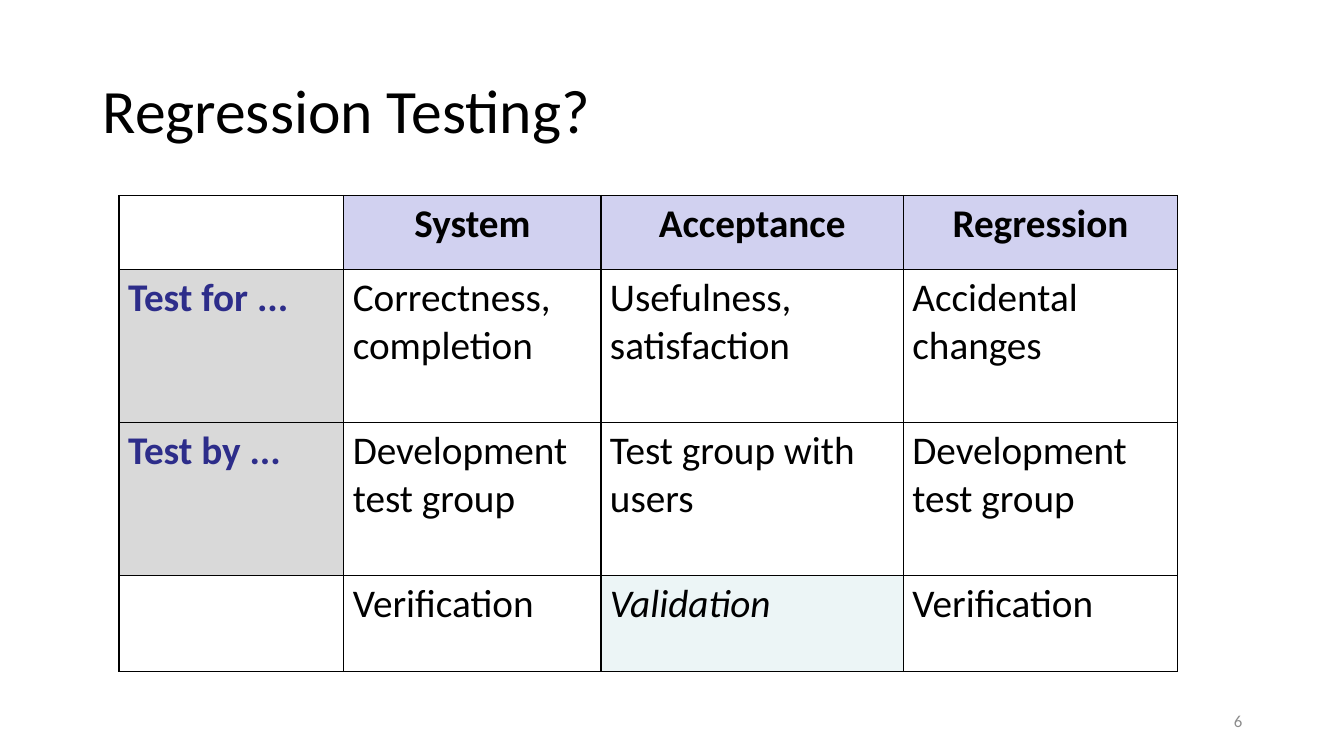
"""Build the regression testing comparison slide."""
from lxml.etree import SubElement
from pptx import Presentation
from pptx.dml.color import RGBColor
from pptx.enum.text import MSO_ANCHOR as Anchor, PP_ALIGN as Align
from pptx.oxml.ns import qn
from pptx.util import Inches, Pt

BLACK = RGBColor(0x00, 0x00, 0x00)
NAVY = RGBColor(0x2D, 0x2D, 0x8A)
GRAY = RGBColor(0x8C, 0x8C, 0x8C)
LAVENDER = RGBColor(0xD1, 0xD1, 0xF0)
SILVER = RGBColor(0xD9, 0xD9, 0xD9)
MINT = RGBColor(0xDA, 0xED, 0xEF)

COLUMN_WIDTHS = [2.23, 2.55, 3, 2.72]
ROW_HEIGHTS = [0.73, 1.52, 1.52, 0.95]
COMPARISON = [
    ["", "System", "Acceptance", "Regression"],
    ["Test for ...", "Correctness, completion", "Usefulness, satisfaction", "Accidental changes"],
    ["Test by ...", "Development test group", "Test group with users", "Development test group"],
    ["", "Verification", "Validation", "Verification"],
]


def write_text(frame, text, *, font="Calibri", size=28, color=BLACK, bold=False,
               italic=False, align=Align.LEFT, spacing=1.0):
    paragraph = frame.paragraphs[0]
    paragraph.alignment = align
    paragraph.line_spacing = spacing
    run = paragraph.add_run()
    run.text = text
    run.font.name = font
    run.font.size = Pt(size)
    run.font.color.rgb = color
    run.font.bold = bold
    run.font.italic = italic


def cell_look(row, column, text):
    """Return the fill, its opacity in percent, and the text format of a cell."""
    if not text:
        return None, 100, {}
    if row == 0:
        return LAVENDER, 100, {"bold": True, "align": Align.CENTER}
    if column == 0:
        return SILVER, 100, {"bold": True, "color": NAVY}
    if text == "Validation":
        return MINT, 51, {"italic": True}
    return None, 100, {}


class SlideBuilder:
    def __init__(self, slide, border_color=BLACK, border_width=1):
        self.slide = slide
        self.border_color = border_color
        self.border_width = border_width

    def text(self, left, top, width, height, text, **text_format):
        box = self.slide.shapes.add_textbox(
            Inches(left), Inches(top), Inches(width), Inches(height))
        box.text_frame.word_wrap = True
        box.text_frame.vertical_anchor = Anchor.MIDDLE
        write_text(box.text_frame, text, **text_format)

    def borders(self, cell):
        properties = cell._tc.get_or_add_tcPr()
        for side in ("a:lnL", "a:lnR", "a:lnT", "a:lnB"):
            line = SubElement(properties, qn(side), w=str(Pt(self.border_width)))
            fill = SubElement(line, qn("a:solidFill"))
            SubElement(fill, qn("a:srgbClr"), val=str(self.border_color))

    def fill(self, cell, color, opacity):
        if color is None:
            cell.fill.background()
            return
        cell.fill.solid()
        cell.fill.fore_color.rgb = color
        if opacity < 100:
            tint = cell._tc.tcPr.find(".//" + qn("a:solidFill") + "[last()]")
            tint = cell._tc.tcPr.findall(qn("a:solidFill"))[0][0]
            SubElement(tint, qn("a:alpha"), val=str(opacity * 1000))

    def table(self, left, top, widths, heights, rows):
        table = self.slide.shapes.add_table(
            len(heights), len(widths), Inches(left), Inches(top),
            Inches(sum(widths)), Inches(sum(heights))).table
        table.first_row = table.horz_banding = False
        for column, width in zip(table.columns, widths):
            column.width = Inches(width)
        for row, height in zip(table.rows, heights):
            row.height = Inches(height)
        for r, row in enumerate(rows):
            for c, text in enumerate(row):
                cell = table.cell(r, c)
                cell.margin_left = cell.margin_right = Inches(0.09)
                cell.margin_top = cell.margin_bottom = Inches(0.05)
                color, opacity, text_format = cell_look(r, c, text)
                self.borders(cell)
                self.fill(cell, color, opacity)
                if text:
                    write_text(cell.text_frame, text, **text_format)


def main():
    deck = Presentation()
    deck.slide_width, deck.slide_height = Inches(13.33), Inches(7.5)
    page = SlideBuilder(deck.slides.add_slide(deck.slide_layouts[6]))
    page.text(0.92, 0.4, 11.5, 1.45, "Regression Testing?", size=44, spacing=0.9)
    page.table(1.18, 1.94, COLUMN_WIDTHS, ROW_HEIGHTS, COMPARISON)
    page.text(9.42, 6.95, 3, 0.4, "6", size=12, color=GRAY, align=Align.RIGHT)
    deck.save("out.pptx")


if __name__ == "__main__":
    main()
